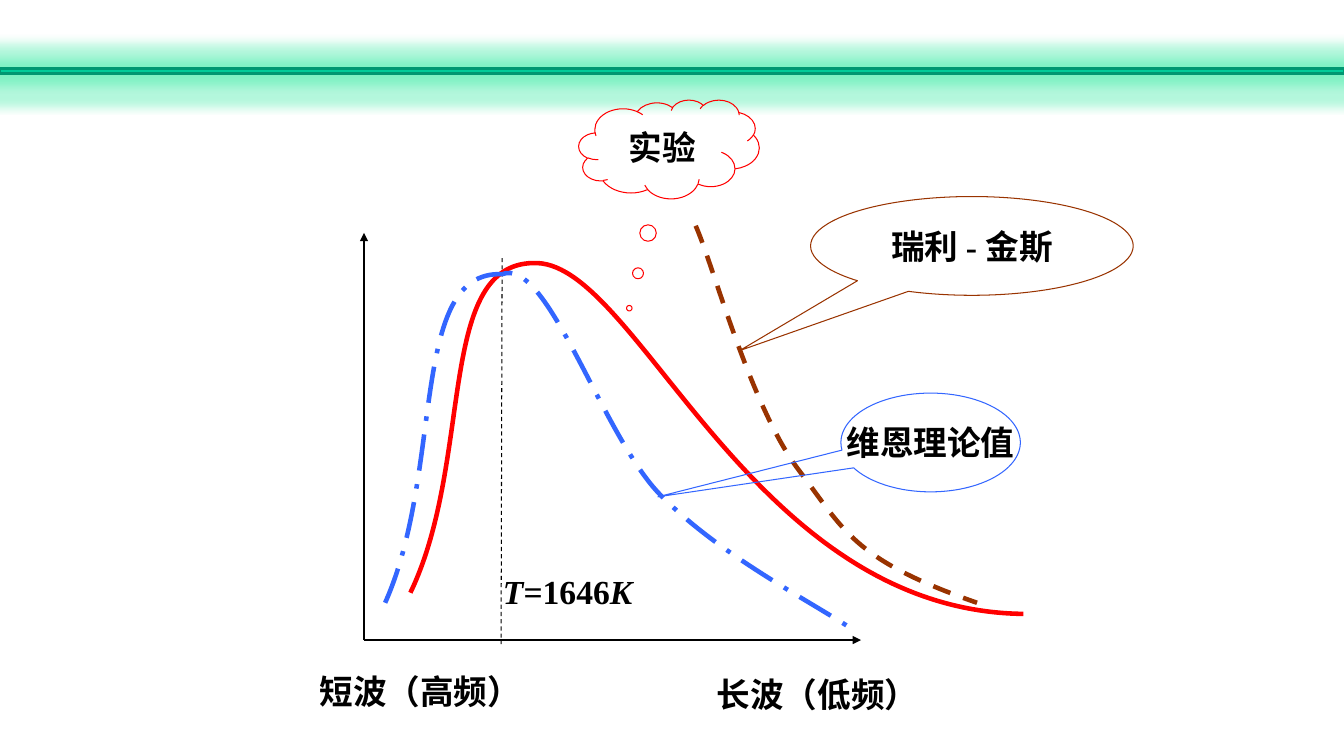
from lxml.etree import SubElement
from pptx import Presentation
from pptx.dml.color import RGBColor
from pptx.enum.dml import MSO_LINE
from pptx.enum.shapes import MSO_CONNECTOR, MSO_SHAPE
from pptx.enum.text import MSO_ANCHOR, PP_ALIGN
from pptx.oxml.ns import qn
from pptx.util import Inches, Pt

BLACK = RGBColor(0, 0, 0)
RED = RGBColor(0xFF, 0, 0)
BROWN = RGBColor(0x99, 0x33, 0)
BLUE = RGBColor(0x33, 0x66, 0xFF)
GREEN = RGBColor(0, 0xCC, 0x99)
DARK_GREEN = RGBColor(0, 0x97, 0x71)
FONT, SIZE = "Times New Roman", Pt(24)
WIDTH, HEIGHT = 13.33, 7.5

# Each curve: start point, then three Bezier points per segment (inches)
CURVES = [
    dict(color=RED, dash=None,
         points=[(4.07, 5.88), (4.71, 4.55), (4.31, 2.57), (5.33, 2.61),
                 (6.34, 2.65), (7.46, 6.06), (10.15, 6.09)],
         callout=MSO_SHAPE.CLOUD_CALLOUT, box=(5.74, 0.99, 1.79, 0.98),
         tail=(-0.22, 1.61), label="实验"),
    dict(color=BROWN, dash=MSO_LINE.DASH,
         points=[(6.9, 2.24), (7.08, 2.65), (7.45, 4.04), (7.92, 4.66),
                 (8.38, 5.27), (8.46, 5.55), (9.69, 5.98)],
         callout=MSO_SHAPE.OVAL_CALLOUT, box=(8.04, 1.95, 3.2, 0.98),
         tail=(-0.72, 1.06), label="瑞利 - 金斯"),
    dict(color=BLUE, dash=MSO_LINE.LONG_DASH_DOT,
         points=[(3.82, 5.98), (4.41, 4.66), (4.05, 2.68), (4.98, 2.72),
                 (5.43, 2.54), (5.97, 4.32), (6.55, 4.91),
                 (7.12, 5.49), (7.97, 5.93), (8.42, 6.22)],
         callout=MSO_SHAPE.OVAL_CALLOUT, box=(8.34, 3.9, 1.78, 0.98),
         tail=(-1.52, 0.55), label="维恩理论值"),
]
ORIGIN, Y_END, X_END = (3.61, 6.35), (3.61, 2.31), (8.54, 6.35)
PEAK_LINE = [(4.98, 2.56), (4.97, 6.39)]
# Each label: box, then (text, italic) runs
LABELS = [
    ((4.89, 5.61, 1.61, 0.5), [("T", True), ("=1646", False), ("K", True)]),
    ((3.07, 6.61, 2.58, 0.5), [("短波（高频）", False)]),
    ((7.01, 6.64, 2.67, 0.5), [("长波（低频）", False)]),
]


def inches(values):
    return [Inches(v) for v in values]


def set_line(shape, color, width, dash=None):
    shape.line.color.rgb = color
    shape.line.width = Pt(width)
    if dash:
        shape.line.dash_style = dash


def set_font(p):
    p.font.name, p.font.size, p.font.bold = FONT, SIZE, True
    p.font.color.rgb = BLACK


def add_line(shapes, start, end, width, dash=None, arrow=False):
    line = shapes.add_connector(MSO_CONNECTOR.STRAIGHT, *inches(start + end))
    set_line(line, BLACK, width, dash)
    if arrow:
        SubElement(line.line._get_or_add_ln(), qn("a:tailEnd"), type="triangle")
    SubElement(line._element.spPr, qn("a:effectLst"))


def add_curve(shapes, points, color, dash):
    """Draw a smooth open curve, turning each three points into a cubic segment."""
    points = [inches(pt) for pt in points]
    builder = shapes.build_freeform(*points[0], scale=1.0)
    builder.add_line_segments(points[1:], close=False)
    curve = builder.convert_to_shape()
    curve.shadow.inherit = False
    curve.fill.background()
    set_line(curve, color, 3.25, dash)
    outline = next(curve._element.iter(qn("a:path")))
    steps = outline.findall(qn("a:lnTo"))
    for i in range(0, len(steps), 3):
        cubic = SubElement(outline, qn("a:cubicBezTo"))
        for step in steps[i:i + 3]:
            cubic.append(step[0])
            outline.remove(step)


def add_callout(shapes, kind, box, tail, label, color):
    callout = shapes.add_shape(kind, *inches(box))
    callout.adjustments[0], callout.adjustments[1] = tail
    callout.shadow.inherit = False
    callout.fill.background()
    set_line(callout, color, 0.75)
    tf = callout.text_frame
    tf.word_wrap = False
    tf.vertical_anchor = MSO_ANCHOR.MIDDLE
    p = tf.paragraphs[0]
    p.text, p.alignment = label, PP_ALIGN.CENTER
    set_font(p)


def add_label(shapes, box, runs):
    tf = shapes.add_textbox(*inches(box)).text_frame
    tf.word_wrap = True
    p = tf.paragraphs[0]
    for text, italic in runs:
        r = p.add_run()
        r.text, r.font.italic = text, italic
    set_font(p)


def add_glowing_bar(shapes):
    bar = shapes.add_shape(MSO_SHAPE.RECTANGLE, *inches((0, 0.68, WIDTH, 0.05)))
    bar.fill.solid()
    bar.fill.fore_color.rgb = GREEN
    set_line(bar, DARK_GREEN, 2)
    effects = SubElement(bar._element.spPr, qn("a:effectLst"))
    glow = SubElement(effects, qn("a:glow"), rad=str(Pt(14)))
    tint = SubElement(glow, qn("a:srgbClr"), val="00E68A")
    SubElement(tint, qn("a:alpha"), val="30000")


def main():
    prs = Presentation()
    prs.slide_width, prs.slide_height = inches((WIDTH, HEIGHT))
    s = prs.slides.add_slide(prs.slide_layouts[6])
    add_glowing_bar(s.shapes)
    for end in (Y_END, X_END):
        add_line(s.shapes, ORIGIN, end, 1.5, arrow=True)
    add_line(s.shapes, *PEAK_LINE, 0.75, MSO_LINE.DASH)
    for c in CURVES:
        group = s.shapes.add_group_shape().shapes
        add_curve(group, c["points"], c["color"], c["dash"])
        add_callout(group, c["callout"], c["box"], c["tail"], c["label"], c["color"])
    for box, runs in LABELS:
        add_label(s.shapes, box, runs)
    prs.save("out.pptx")


if __name__ == "__main__":
    main()
